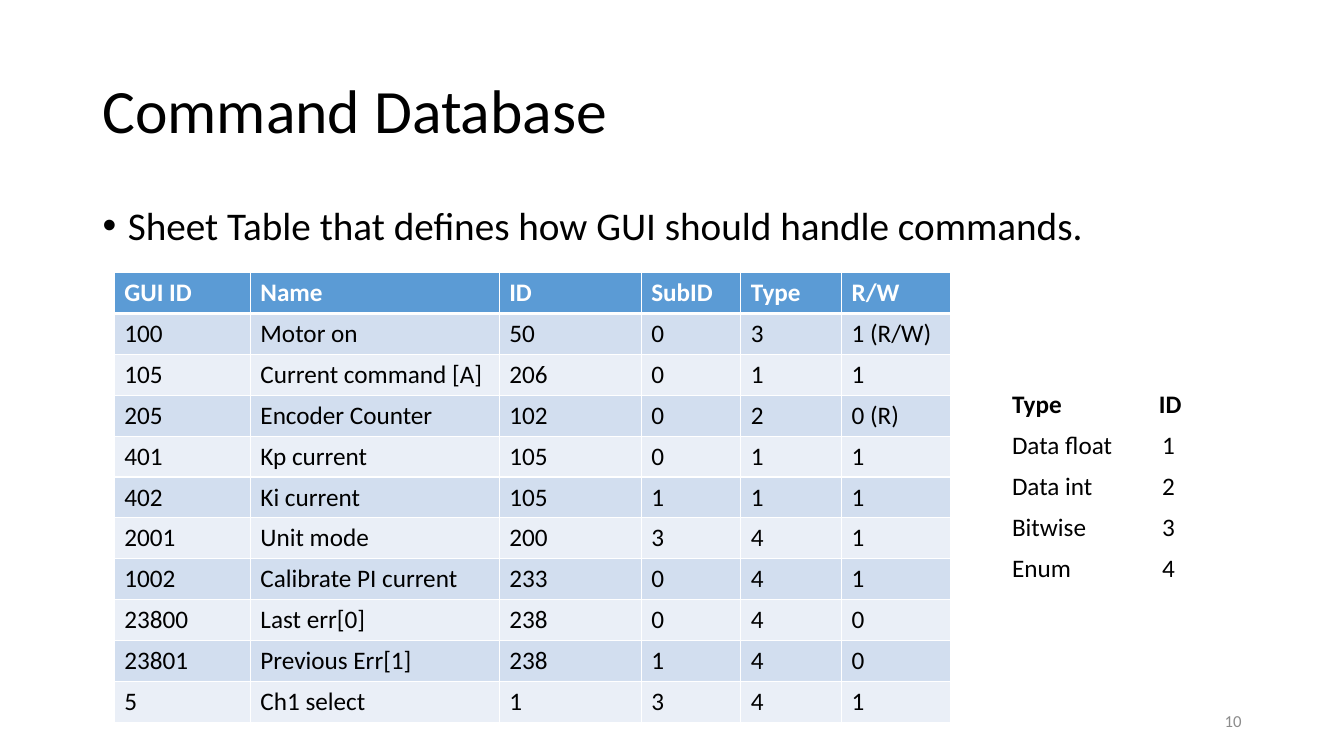
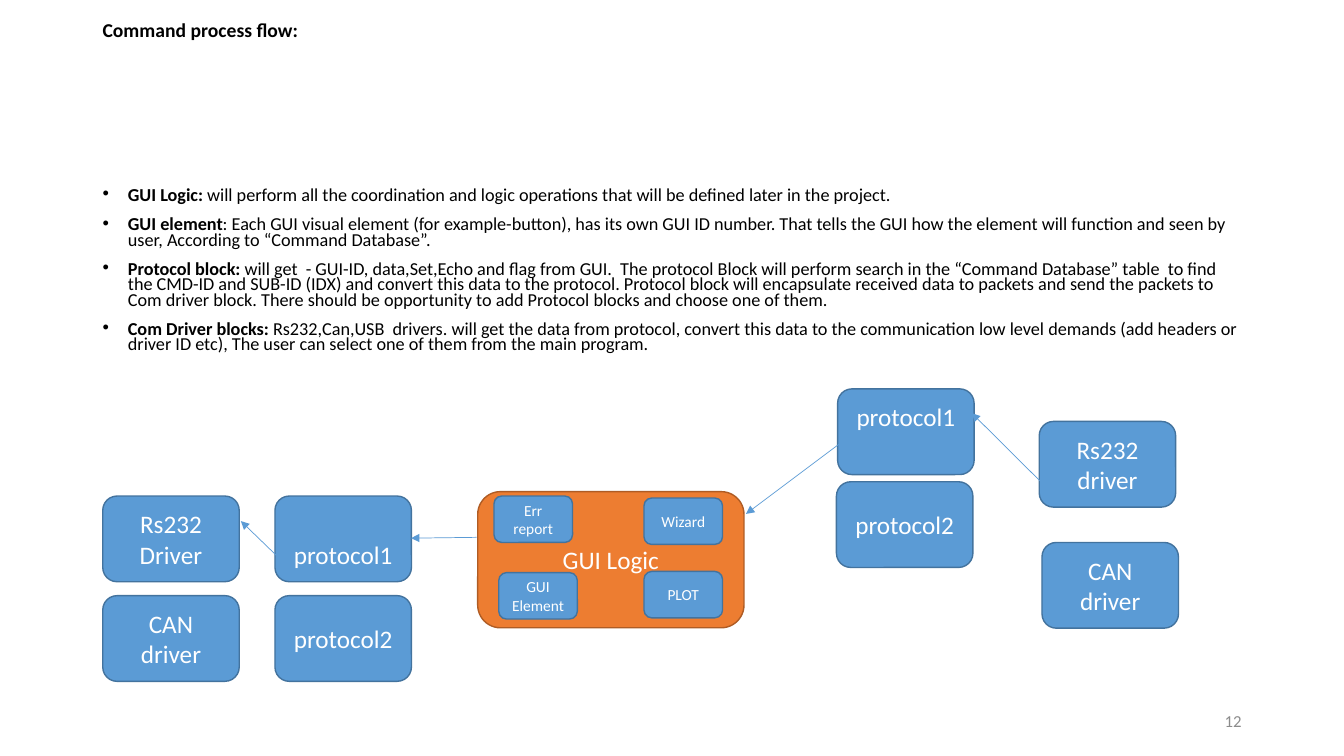
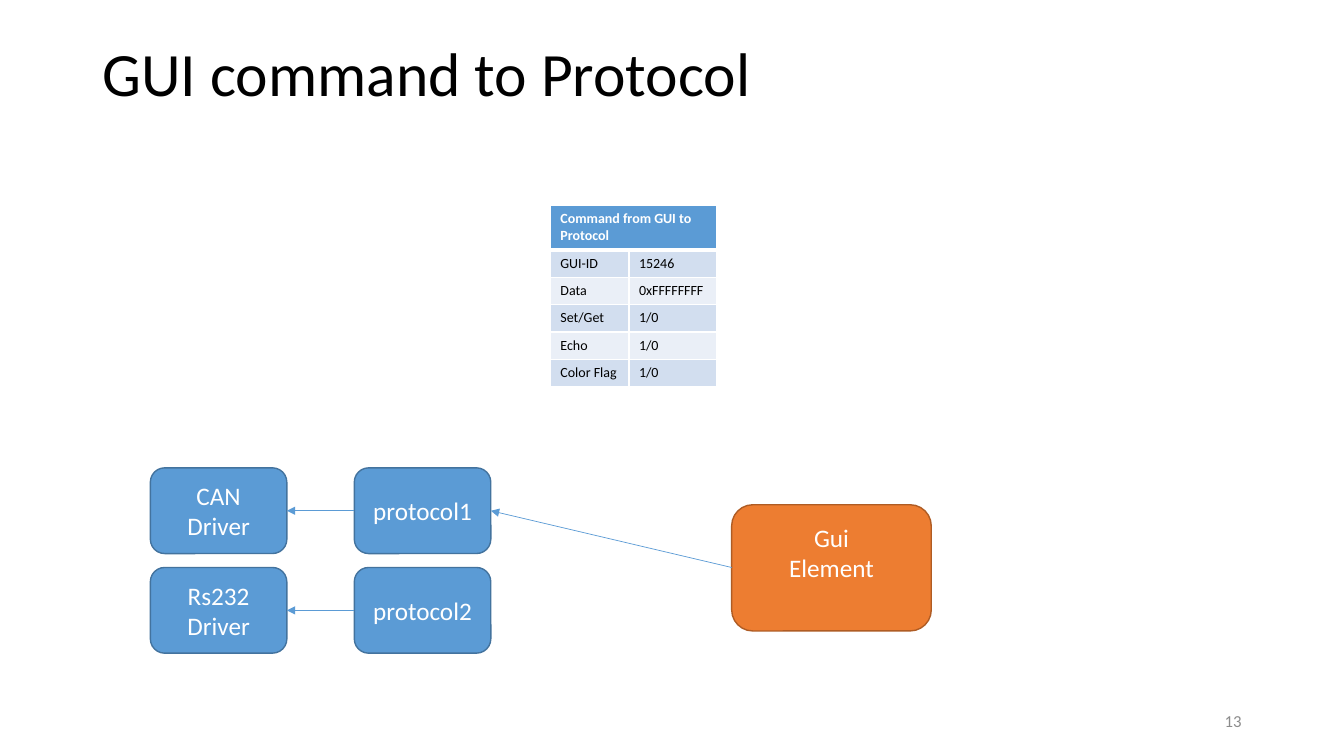
import pptx
import pptx.util
import pptx.dml.color
import pptx.enum.shapes
import pptx.enum.text
import pptx.oxml.ns
import lxml.etree

Cm, Pt = pptx.util.Cm, pptx.util.Pt
ALIGN, ANCHOR = pptx.enum.text.PP_ALIGN, pptx.enum.text.MSO_ANCHOR

# Shared style
FONT = "Calibri"
BLACK, WHITE, GRAY = "000000", "FFFFFF", "8C8C8C"
BLUE, BLUE_EDGE = "5B9BD5", "43739E"
ORANGE, ORANGE_EDGE = "ED7D31", "AF5C24"
BANDS = ["D2DEEF", "EAEFF7"]
LEFT, WIDTH = 2.33, 29.21
BLOCK = (3.44, 2.16)
PART = (1.98, 1.17)
LINE_18 = 0.77  # height of one 18 pt line

# Slide 1 content
COMMANDS = [
    ("GUI ID", "Name", "ID", "SubID", "Type", "R/W"),
    ("100", "Motor on", "50", "0", "3", "1 (R/W)"),
    ("105", "Current command [A]", "206", "0", "1", "1"),
    ("205", "Encoder Counter", "102", "0", "2", "0 (R)"),
    ("401", "Kp current", "105", "0", "1", "1"),
    ("402", "Ki current", "105", "1", "1", "1"),
    ("2001", "Unit mode", "200", "3", "4", "1"),
    ("1002", "Calibrate PI current", "233", "0", "4", "1"),
    ("23800", "Last err[0]", "238", "0", "4", "0"),
    ("23801", "Previous Err[1]", "238", "1", "4", "0"),
    ("5", "Ch1 select", "1", "3", "4", "1"),
]
TYPES = [("Type\tID", ""), ("Data float", "1"), ("Data int", "2"),
         ("Bitwise", "3"), ("Enum", "4"), ("", "")]
DATABASE_NOTE = [("", "Sheet Table that defines how GUI should handle commands.")]

# Slide 2 content: bold lead and plain text
FLOW_NOTES = [
    ("GUI Logic: ", "will perform all the coordination and logic operations that "
     "will be defined later in the project."),
    ("GUI element", ": Each GUI visual element (for example-button), has its own GUI "
     "ID number. That tells the GUI how the element will function and seen by user, "
     "According to “Command Database”."),
    ("Protocol block: ", "will get  - GUI-ID, data,Set,Echo and flag from GUI.  The "
     "protocol Block will perform search in the “Command Database” table  to find the "
     "CMD-ID and SUB-ID (IDX) and convert this data to the protocol. Protocol block "
     "will encapsulate received data to packets and send the packets to Com driver "
     "block. There should be opportunity to add Protocol blocks and choose one of them."),
    ("Com Driver blocks: ", "Rs232,Can,USB  drivers. will get the data from protocol, "
     "convert this data to the communication low level demands (add headers or driver "
     "ID etc), The user can select one of them from the main program."),
]
# Blocks: lines, left, top, lines of space above, lines of space below
FLOW_BLOCKS = [
    (["Rs232", "Driver"], 2.59, 12.5, 0, 0),
    (["CAN", "driver"], 2.59, 15.01, 0, 0),
    (["protocol1"], 6.93, 12.5, 1, 0),
    (["protocol2"], 6.93, 15.01, 0, 0),
    (["protocol1"], 21.11, 9.8, 0, 1),
    (["protocol2"], 21.08, 12.14, 0, 0),
    (["Rs232", "driver"], 26.19, 10.62, 0, 0),
    (["CAN", "driver"], 26.26, 13.67, 0, 0),
]
LOGIC_PARTS = [("Err report", 12.45, 12.5), ("Wizard", 16.23, 12.55),
               ("GUI Element", 12.57, 14.43), ("PLOT", 16.23, 14.4)]
FLOW_ARROWS = [(26.26, 12.17, 24.49, 10.41), (21.16, 11.18, 18.8, 12.95),
               (12.01, 13.54, 10.36, 13.56), (6.99, 14.02, 6.07, 13.13)]

# Slide 3 content
MESSAGE = [("Command from GUI to Protocol", ""), ("GUI-ID", "15246"),
           ("Data", "0xFFFFFFFF"), ("Set/Get", "1/0"), ("Echo", "1/0"),
           ("Color Flag", "1/0")]
CHANNELS = [(["CAN", "Driver"], "protocol1"), (["Rs232", "Driver"], "protocol2")]


def rgb(code):
    return pptx.dml.color.RGBColor.from_string(code)


def add_span(para, text, size, color, bold=False):
    span = para.add_run()
    span.text = text
    span.font.name, span.font.size, span.font.bold = FONT, Pt(size), bold
    span.font.color.rgb = rgb(color)


def place(box, left, top, width, height):
    box.left, box.top, box.width, box.height = Cm(left), Cm(top), Cm(width), Cm(height)


def new_page(deck, layout, title, number, top=1.02, height=3.68, size=44,
             bold=False, anchor=ANCHOR.MIDDLE):
    page = deck.slides.add_slide(deck.slide_layouts[layout])
    box = page.shapes.title
    place(box, LEFT, top, WIDTH, height)
    frame = box.text_frame
    frame.vertical_anchor, frame.auto_size = anchor, pptx.enum.text.MSO_AUTO_SIZE.NONE
    para = frame.paragraphs[0]
    para.alignment, para.line_spacing = ALIGN.LEFT, 0.9
    add_span(para, title, size, BLACK, bold)
    # Page number
    box = page.shapes.add_textbox(Cm(23.92), Cm(17.65), Cm(7.62), Cm(1.02))
    box.text_frame.word_wrap = True
    box.text_frame.vertical_anchor = ANCHOR.MIDDLE
    para = box.text_frame.paragraphs[0]
    para.alignment = ALIGN.RIGHT
    add_span(para, str(number), 12, GRAY)
    return page


def fill_body(page, notes, top, height, size, spacing):
    box = page.placeholders[1]
    place(box, LEFT, top, WIDTH, height)
    frame = box.text_frame
    frame.auto_size = pptx.enum.text.MSO_AUTO_SIZE.NONE
    for index, (lead, text) in enumerate(notes):
        para = frame.add_paragraph() if index else frame.paragraphs[0]
        para.line_spacing, para.space_before = spacing, Pt(10)
        props = para._p.get_or_add_pPr()
        props.set("marL", str(Cm(0.64)))
        props.set("indent", str(-Cm(0.64)))
        if lead:
            add_span(para, lead, size, BLACK, True)
        add_span(para, text, size, BLACK)


def add_borders(cell, row):
    widths = {"L": 1, "R": 1, "T": 3 if row == 1 else 1, "B": 1 if row else 3}
    props = cell._tc.get_or_add_tcPr()
    for index, (side, width) in enumerate(widths.items()):
        line = lxml.etree.Element(pptx.oxml.ns.qn("a:ln" + side), w=str(Pt(width)))
        fill = lxml.etree.SubElement(line, pptx.oxml.ns.qn("a:solidFill"))
        lxml.etree.SubElement(fill, pptx.oxml.ns.qn("a:srgbClr"), val=WHITE)
        props.insert(index, line)


def add_tab_stop(para, position):
    stops = lxml.etree.SubElement(para._p.get_or_add_pPr(),
                                  pptx.oxml.ns.qn("a:tabLst"))
    lxml.etree.SubElement(stops, pptx.oxml.ns.qn("a:tab"),
                          pos=str(Cm(position)), algn="l")


def add_grid(page, rows, left, top, widths, heights, size, banded=True):
    table = page.shapes.add_table(len(rows), len(widths), Cm(left), Cm(top),
                                  Cm(sum(widths)), Cm(sum(heights))).table
    table.first_row = banded
    table.horz_banding = False
    for column, width in zip(table.columns, widths):
        column.width = Cm(width)
    for r, values in enumerate(rows):
        table.rows[r].height = Cm(heights[r])
        for c, value in enumerate(values):
            cell = table.cell(r, c)
            if banded:
                cell.fill.solid()
                cell.fill.fore_color.rgb = rgb(BANDS[(r - 1) % 2] if r else BLUE)
                add_borders(cell, r)
            else:
                cell.fill.background()
            if value:
                color = WHITE if banded and r == 0 else BLACK
                add_span(cell.text_frame.paragraphs[0], value, size, color, r == 0)
    return table


def add_block(page, lines, left, top, extent=BLOCK, above=0, below=0, size=18,
              colors=(BLUE, BLUE_EDGE)):
    box = page.shapes.add_shape(pptx.enum.shapes.MSO_SHAPE.ROUNDED_RECTANGLE,
                                Cm(left), Cm(top), Cm(extent[0]), Cm(extent[1]))
    box.shadow.inherit = False
    box.fill.solid()
    box.fill.fore_color.rgb = rgb(colors[0])
    box.line.color.rgb, box.line.width = rgb(colors[1]), Pt(1)
    frame = box.text_frame
    frame.word_wrap, frame.vertical_anchor = True, ANCHOR.MIDDLE
    frame.margin_top = Cm(0.13 + above * LINE_18)
    frame.margin_bottom = Cm(0.13 + below * LINE_18)
    for index, text in enumerate(lines):
        para = frame.add_paragraph() if index else frame.paragraphs[0]
        para.alignment = ALIGN.CENTER
        add_span(para, text, size, WHITE)


def add_arrow(page, *ends):
    arrow = page.shapes.add_connector(pptx.enum.shapes.MSO_CONNECTOR.STRAIGHT,
                                      *[Cm(end) for end in ends])
    arrow.line.color.rgb, arrow.line.width = rgb(BLUE), Pt(0.5)
    lxml.etree.SubElement(arrow.line._get_or_add_ln(),
                          pptx.oxml.ns.qn("a:tailEnd"), type="triangle")
    lxml.etree.SubElement(arrow._element.spPr, pptx.oxml.ns.qn("a:effectLst"))


def build_database(deck):
    page = new_page(deck, 1, "Command Database", 10)
    fill_body(page, DATABASE_NOTE, 5.08, 12.09, 28, 0.9)
    add_grid(page, COMMANDS, 2.88, 6.87, [3.43, 6.27, 3.58, 2.51, 2.54, 2.74],
             [1.03] * len(COMMANDS), 18)
    types = add_grid(page, TYPES, 25.25, 9.7, [3.78, 3.78], [1.03] * len(TYPES),
                     18, False)
    header = types.cell(0, 0)
    header.merge(types.cell(0, 1))
    add_tab_stop(header.text_frame.paragraphs[0], 3.7)


def build_flow(deck):
    page = new_page(deck, 1, "Command process flow:", 12, 0.33, 0.91, 14, True)
    fill_body(page, FLOW_NOTES, 4.64, 4.5, 13, 0.7)
    for lines, left, top, above, below in FLOW_BLOCKS:
        add_block(page, lines, left, top, above=above, below=below)
    add_block(page, ["GUI Logic"], 12.04, 12.39, (6.71, 3.43),
              colors=(ORANGE, ORANGE_EDGE))
    for text, left, top in LOGIC_PARTS:
        add_block(page, [text], left, top, PART, size=11)
    for ends in FLOW_ARROWS:
        add_arrow(page, *ends)


def build_protocol(deck):
    page = new_page(deck, 5, "GUI command to Protocol", 13, top=0.97,
                    anchor=ANCHOR.TOP)
    table = add_grid(page, MESSAGE, 13.87, 5.18, [1.98, 2.21],
                     [1.12] + [0.69] * (len(MESSAGE) - 1), 10)
    table.cell(0, 0).merge(table.cell(0, 1))
    # Driver and protocol pairs
    driver_left, protocol_left, first_top, pitch = 3.79, 8.93, 11.79, 2.51
    for index, (driver, protocol) in enumerate(CHANNELS):
        top = first_top + index * pitch
        middle = top + BLOCK[1] / 2
        add_block(page, driver, driver_left, top)
        add_block(page, [protocol], protocol_left, top)
        add_arrow(page, protocol_left, middle, driver_left + BLOCK[0], middle)
    # Sender
    add_block(page, ["Gui", "Element"], 18.44, 12.72, (5.03, 3.18), below=1,
              colors=(ORANGE, ORANGE_EDGE))
    add_arrow(page, 18.44, 14.3, protocol_left + BLOCK[0], first_top + BLOCK[1] / 2)


def main():
    deck = pptx.Presentation()
    deck.slide_width, deck.slide_height = Cm(33.87), Cm(19.05)
    build_database(deck)
    build_flow(deck)
    build_protocol(deck)
    deck.save("out.pptx")


if __name__ == "__main__":
    main()
